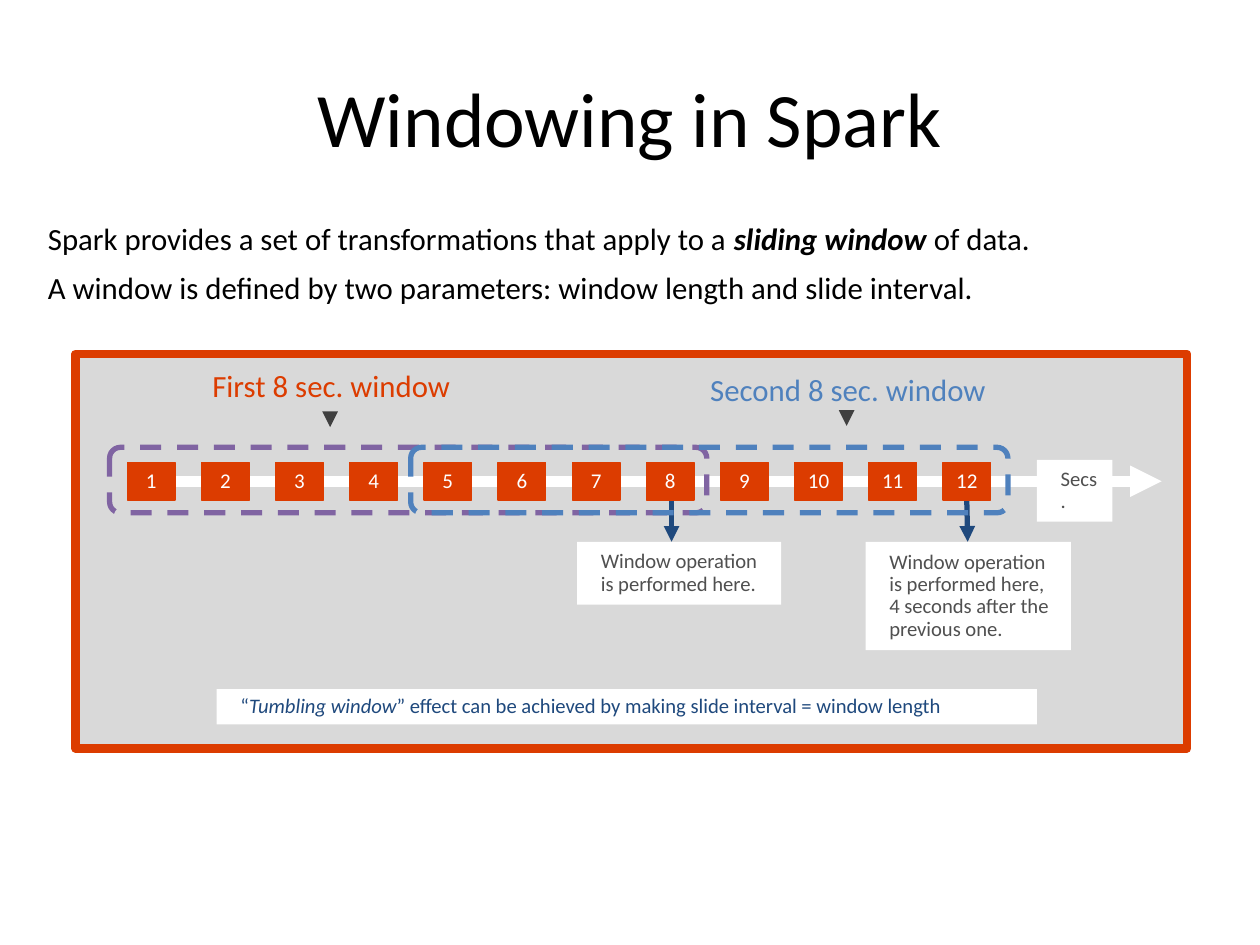
"""Build the slide on windowing in Spark."""
from lxml.etree import SubElement
from pptx import Presentation
from pptx.dml.color import RGBColor
from pptx.enum.dml import MSO_LINE
from pptx.enum.shapes import MSO_CONNECTOR, MSO_SHAPE
from pptx.enum.text import MSO_ANCHOR, PP_ALIGN
from pptx.oxml.ns import qn
from pptx.util import Inches, Pt

HUES = {key: RGBColor.from_string(code) for key, code in {
    "black": "000000", "white": "FFFFFF", "panel": "D9D9D9",
    "orange": "DC3C00", "purple": "8064A2", "blue": "4F81BD",
    "navy": "1F497D", "gray": "505050", "dark": "404040"}.items()}


def add_box(area, fill=None, edge=None, width=0.75, kind=MSO_SHAPE.RECTANGLE):
    box = slide.shapes.add_shape(kind, *map(Inches, area))
    box.shadow.inherit = False
    if fill:
        box.fill.solid()
        box.fill.fore_color.rgb = HUES[fill]
    else:
        box.fill.background()
    if edge:
        box.line.color.rgb = HUES[edge]
        box.line.width = Pt(width)
    else:
        box.line.fill.background()
    return box


def add_text(box, lines, size, hue, pads=(0.1, 0.07), anchor=MSO_ANCHOR.MIDDLE,
             center=False, wrap=True):
    frame = box.text_frame
    frame.word_wrap = wrap
    frame.vertical_anchor = anchor
    frame.margin_left = frame.margin_right = Inches(pads[0])
    frame.margin_top = frame.margin_bottom = Inches(pads[1])
    for index, runs in enumerate(lines):
        para = frame.add_paragraph() if index else frame.paragraphs[0]
        para.line_spacing = 0.9
        para.space_after = Pt(4.5)
        para.alignment = PP_ALIGN.CENTER if center else PP_ALIGN.LEFT
        if not center:
            para.space_before = Pt(4.5)
            props = para._p.get_or_add_pPr()
            props.set("marL", str(Inches(0.09)))
            props.set("indent", "0")
        for words, bold, slant in runs:
            if words == "\n":
                para.add_line_break()
                continue
            run = para.add_run()
            run.text = words
            font = run.font
            font.name, font.size = "Calibri", Pt(size)
            font.bold, font.italic = bold, slant
            font.color.rgb = HUES[hue]


deck = Presentation()
deck.slide_width, deck.slide_height = Inches(10), Inches(7.5)
slide = deck.slides.add_slide(deck.slide_layouts[5])

title = slide.shapes.title
title.left, title.top = Inches(0.5), Inches(0.3)
title.width, title.height = Inches(9), Inches(1.25)
title.text_frame.vertical_anchor = MSO_ANCHOR.MIDDLE
para = title.text_frame.paragraphs[0]
para.alignment = PP_ALIGN.CENTER
run = para.add_run()
run.text = "Windowing in Spark"
run.font.name, run.font.size = "Calibri", Pt(44)
run.font.color.rgb = HUES["black"]

add_box((0.6, 2.81, 8.82, 3.13), "panel", "orange", 5)

intro = add_box((0, 1.73, 9.53, 0.76))
add_text(intro, [
    [("Spark provides a set of transformations that apply to a ", False, False),
     ("sliding window ", True, True), ("of data.", False, False)],
    [("A window is defined by two parameters: window length and slide interval.",
      False, False)]], 17.6, "black", (0.1, 0.05), MSO_ANCHOR.TOP)
intro.text_frame.margin_left = Inches(0.29)

for x1, y1, x2, y2, hue, width in [
        (1.04, 3.82, 9.22, 3.82, "white", 6),
        (5.33, 3.77, 5.33, 4.3, "navy", 3),
        (7.67, 3.83, 7.68, 4.3, "navy", 3),
        (2.62, 3.38, 2.62, 3.39, "dark", 3),
        (6.72, 3.37, 6.72, 3.38, "dark", 3)]:
    arrow = slide.shapes.add_connector(
        MSO_CONNECTOR.STRAIGHT, *map(Inches, (x1, y1, x2, y2)))
    arrow.line.color.rgb = HUES[hue]
    arrow.line.width = Pt(width)
    SubElement(arrow.line._get_or_add_ln(), qn("a:tailEnd"), type="triangle")
    SubElement(arrow._element.spPr, qn("a:effectLst"))

unit = add_box((8.23, 3.65, 0.6, 0.49), "white")
add_text(unit, [[("Secs.", False, False)]], 11.8, "gray", anchor=MSO_ANCHOR.TOP)

for index in range(12):
    tile = add_box((1.01 + 0.5885 * index, 3.67, 0.38, 0.3), "orange", "orange")
    add_text(tile, [[(str(index + 1), False, False)]], 12, "white",
             (0.15, 0.12), center=True, wrap=False)

for left, hue in [(0.87, "purple"), (3.26, "blue")]:
    window = add_box((left, 3.55, 4.74, 0.52), None, hue, 3,
                     MSO_SHAPE.ROUNDED_RECTANGLE)
    window.line.dash_style = MSO_LINE.DASH

for left, top, words, hue in [(0.87, 2.9, "First 8 sec. window", "orange"),
                              (4.97, 2.93, "Second 8 sec. window", "blue")]:
    label = slide.shapes.add_textbox(*map(Inches, (left, top, 3.52, 0.36)))
    add_text(label, [[(words, False, False)]], 17.6, hue, (0.15, 0.12),
             center=True, wrap=False)

for area, words, hue, pads in [
        ((4.58, 4.3, 1.62, 0.5),
         [("Window operation is performed here.", False, False)],
         "gray", (0.1, 0.07)),
        ((6.87, 4.3, 1.63, 0.86),
         [("Window operation is performed here, ", False, False),
          ("\n", False, False),
          ("4 seconds after the previous one.", False, False)],
         "gray", (0.1, 0.07)),
        ((1.72, 5.47, 6.51, 0.28),
         [("“", False, False), ("Tumbling window", False, True),
          ("” effect can be achieved by making slide interval = window length",
           False, False)],
         "navy", (0.1, 0.05))]:
    add_text(add_box(area, "white"), [words], 11.8, hue, pads)

deck.save("out.pptx")
